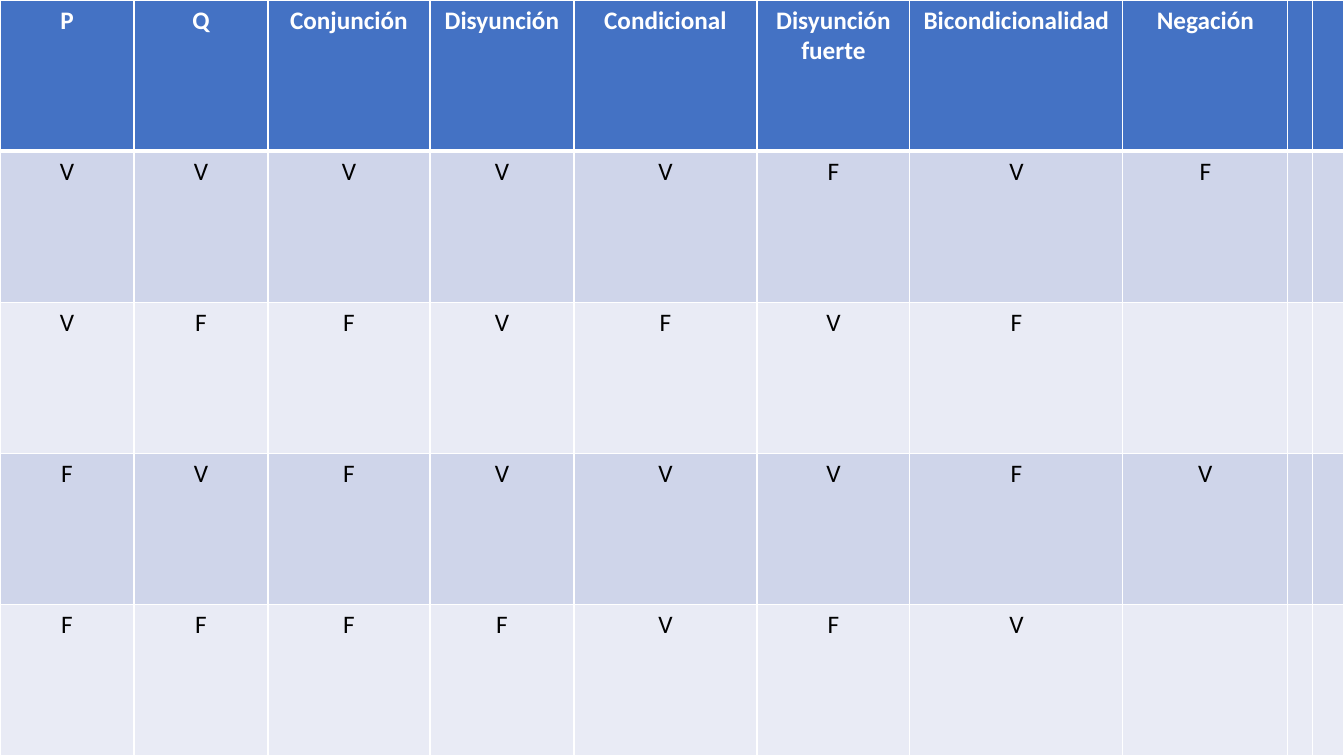
import pptx
import pptx.util
import pptx.dml.color
import pptx.enum.text
import pptx.oxml
import pptx.oxml.ns

PX = 914400 / 100.8
WIDE, HIGH = 1344, 756
WIDTHS = [134, 134, 162, 144, 183, 153, 213, 165, 25, 31]
HEADS = ["P", "Q", "Conjunción", "Disyunción", "Condicional",
         "Disyunción fuerte", "Bicondicionalidad", "Negación"]
TRUTH = ["VVVVVFVF", "VFFVFVF", "FVFVVVFV", "FFFFVFV"]
BLUE, WHITE, BLACK = "4472C4", "FFFFFF", "000000"
BANDS = ["CFD5EA", "E9EBF5"]


def px(num):
    return pptx.util.Emu(round(num * PX))


def color(code):
    return pptx.dml.color.RGBColor.from_string(code)


def write(frame, text, size=18, tint=BLACK, bold=False):
    para = frame.paragraphs[0]
    para.alignment = pptx.enum.text.PP_ALIGN.CENTER
    run = para.add_run()
    run.text = text
    run.font.name = "Calibri"
    run.font.size = pptx.util.Pt(size)
    run.font.bold = bold
    run.font.color.rgb = color(tint)


def edge(cell, side, width):
    """Draw one white border; call before the cell's fill is set."""
    space = pptx.oxml.ns.nsdecls("a")
    line = pptx.oxml.parse_xml(
        f'<a:ln{side} {space} w="{pptx.util.Pt(width)}"><a:solidFill>'
        f'<a:srgbClr val="{WHITE}"/></a:solidFill></a:ln{side}>')
    cell._tc.get_or_add_tcPr().append(line)


def truth_table(slide, left, top, width, height):
    rows = [HEADS] + TRUTH
    shape = slide.shapes.add_table(len(rows), len(WIDTHS), px(left), px(top),
                                   px(width), px(height))
    table = shape.table
    for col, size in zip(table.columns, WIDTHS):
        col.width = px(size * width / sum(WIDTHS))
    for i, texts in enumerate(rows):
        head = i == 0
        for j, cell in enumerate(table.rows[i].cells):
            for side in "LRTB":
                thick = (head and side == "B") or (i == 1 and side == "T")
                edge(cell, side, 3 if thick else 1)
            cell.fill.solid()
            cell.fill.fore_color.rgb = color(BLUE if head else BANDS[(i - 1) % 2])
            if j < len(texts):
                write(cell.text_frame, texts[j], bold=head,
                      tint=WHITE if head else BLACK)


def main():
    deck = pptx.Presentation()
    deck.slide_width, deck.slide_height = px(WIDE), px(HIGH)
    slide = deck.slides.add_slide(deck.slide_layouts[6])
    truth_table(slide, 0, 0, WIDE, HIGH)
    deck.save("out.pptx")


if __name__ == "__main__":
    main()
